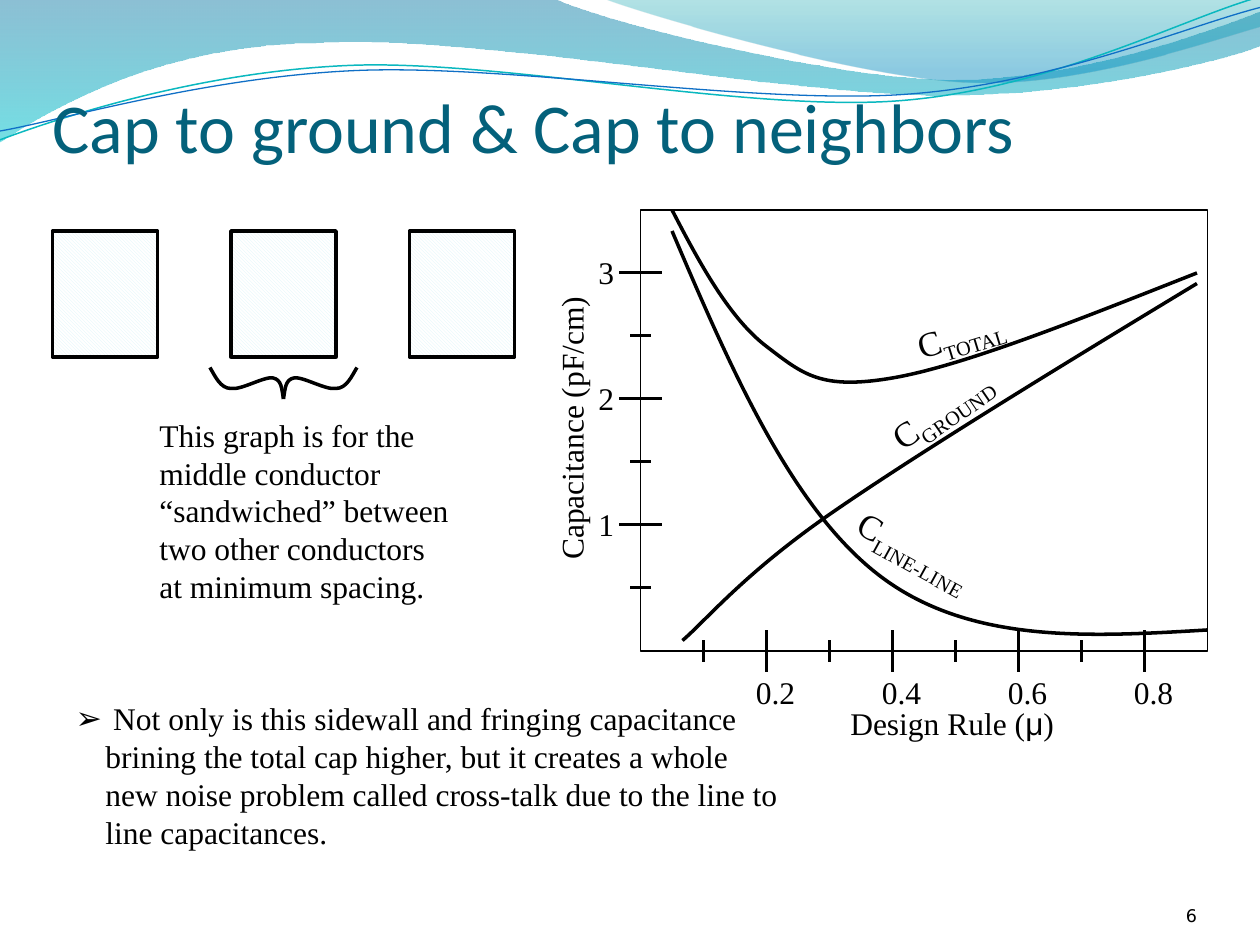
import math

from lxml import etree
from pptx import Presentation
from pptx.dml.color import RGBColor
from pptx.enum import dml, shapes, text
from pptx.oxml.ns import qn
from pptx.util import Pt

# Content
TITLE = "Cap to ground & Cap to neighbors"
CAPTION = ["This graph is for the", "middle conductor", "“sandwiched” between",
           "two other conductors", "at minimum spacing."]
BULLET = (" Not only is this sidewall and fringing capacitance brining the total cap "
          "higher, but it creates a whole new noise problem called cross-talk due to "
          "the line to line capacitances.")
PAGE_NUMBER = "6"
X_LABELS = ["0.2", "0.4", "0.6", "0.8"]
Y_LABELS = ["1", "2", "3"]
SERIF, BLACK = "Times New Roman", "000000"

# Paths in points: a start, then line ends (2 numbers) or Bezier segments (6 numbers)
WAVES = [
    ([(0, -0.7), (316.8, -0.7), (342.7, 12.2, 478.1, 45.4, 545.8, 45.4),
      (614.2, 45.4, 689.8, 18.7, 720, 6.5), (720.7, 25.9),
      (707.8, 31.7, 626.4, 54.7, 537.1, 54.3), (447.8, 54.3, 275, 20.2, 185, 24.5),
      (92.9, 25.2, 33.1, 59.8, -0.7, 81.4)],
     [(0, "0074A1", 45), (1, "00C6CF", 55)]),
    ([(344.9, -0.7), (366.5, 7.9, 491, 44.6, 553.7, 46.8),
      (616.3, 49.7, 691.9, 23, 720, 15.1), (720, 0)],
     [(0, "00A1A9", 30), (0.8, "008BBF", 45)]),
]
WAVE_ROTATION = 357.3
# Path as it appears, centre of rotation, colour, width
WAVE_LINES = [
    ([(0, 79.9), (34.6, 67, 113.8, 41, 199.4, 37.4), (284.4, 33.8, 427, 64.1, 513.4, 57.6),
      (599.8, 51.1, 675.4, 10.8, 718.6, -1.4)], (359.3, 41.4), "0AB8BF", 0.85),
    ([(0, 74.9), (33.8, 69.1, 118.1, 43.9, 203.8, 40.3),
      (290.2, 36.7, 429.8, 59.8, 516.2, 54), (601.9, 48.2, 677.5, 15.1, 720, 4.3)],
     (359.6, 42.5), "0F6FC6", 0.75),
]
CURVES = [
    [(684, 156), (618, 182, 551, 209, 510, 216), (469, 223, 459, 214, 438, 198),
     (417, 182, 400, 151, 384, 120)],
    [(684, 162), (603, 211, 523, 260, 474, 294), (425, 328, 403, 355, 390, 366)],
    [(690, 360), (623, 364, 555, 368, 504, 330), (453, 292, 418, 212, 384, 132)],
]
# Subscript, left, top, width, rotation
CURVE_LABELS = [("TOTAL", 516.2, 174.2, 70.6, 343), ("GROUND", 498.2, 216, 83.5, 325.5),
                ("LINE-LINE", 480.2, 300.2, 91.4, 28.9)]
HALF_BRACE = [(120, 210), (123, 215, 126, 222, 132, 222), (138, 223, 151, 215, 156, 216),
              (161, 217, 161, 222, 162, 228)]
BRACE_CENTER = 162
CONDUCTOR_LEFTS = [132, 30, 234]
PLOT = (366, 120, 324, 252)
TICK_STEP = 36

presentation = Presentation()
presentation.slide_width, presentation.slide_height = Pt(720), Pt(540)
slide = presentation.slides.add_slide(presentation.slide_layouts[1])


def color(hex_string):
    return RGBColor.from_string(hex_string)


def place(shape, left, top, width, height):
    shape.left, shape.top, shape.width, shape.height = map(Pt, (left, top, width, height))


def style_line(shape, line_color=BLACK, width=2):
    shape.line.color.rgb = color(line_color)
    shape.line.width = Pt(width)


def style_run(run, size=18, font=SERIF, hex_string=BLACK):
    run.font.size, run.font.name = Pt(size), font
    run.font.color.rgb = color(hex_string)


def transform(path, move):
    """Apply move(x, y) to every point of a path."""
    return [tuple(value for x, y in zip(segment[::2], segment[1::2]) for value in move(x, y))
            for segment in path]


def add_path(path, close=False):
    """Draw the control polygon, then join its lines three by three into Beziers."""
    start, *rest = [(Pt(x), Pt(y)) for segment in path
                    for x, y in zip(segment[::2], segment[1::2])]
    builder = slide.shapes.build_freeform(*start)
    builder.add_line_segments(rest, close=close)
    shape = builder.convert_to_shape()
    shape.shadow.inherit = False
    lines = iter(shape.element.xpath(".//a:lnTo"))
    for segment in path[1:]:
        first = next(lines)
        if len(segment) == 6:
            first.tag = qn("a:cubicBezTo")
            for _ in range(2):
                line = next(lines)
                first.append(line[0])
                line.getparent().remove(line)
    return shape


def add_curve(path, line_color=BLACK, width=2):
    shape = add_path(path)
    shape.fill.background()
    style_line(shape, line_color, width)
    return shape


def add_line(x1, y1, x2, y2):
    line = slide.shapes.add_connector(shapes.MSO_CONNECTOR.STRAIGHT, *map(Pt, (x1, y1, x2, y2)))
    style_line(line)
    etree.SubElement(line.element.spPr, qn("a:effectLst"))


def add_rectangle(left, top, width, height, line_width):
    shape = slide.shapes.add_shape(shapes.MSO_SHAPE.RECTANGLE,
                                   *map(Pt, (left, top, width, height)))
    shape.shadow.inherit = False
    style_line(shape, width=line_width)
    return shape


def add_text(lines, left, top, width, height=29, rotation=0):
    """Each line is a list of (text, size, font) runs."""
    box = slide.shapes.add_textbox(*map(Pt, (left, top, width, height)))
    box.rotation = rotation
    frame = box.text_frame
    frame.word_wrap = False
    frame.auto_size = text.MSO_AUTO_SIZE.SHAPE_TO_FIT_TEXT
    for index, runs in enumerate(lines):
        paragraph = frame.add_paragraph() if index else frame.paragraphs[0]
        for content, size, font in runs:
            run = paragraph.add_run()
            run.text = content
            style_run(run, size, font)
    return box


# Wave decoration
for path, stops in WAVES:
    wave = add_path(path, close=True)
    wave.line.fill.background()
    wave.fill.gradient()
    wave.fill.gradient_angle = 270
    for stop, (position, hex_string, _) in zip(wave.fill.gradient_stops, stops):
        stop.position = position
        stop.color.rgb = color(hex_string)
    for element, (_, _, opacity) in zip(wave.element.xpath(".//a:gs/a:srgbClr"), stops):
        etree.SubElement(element, qn("a:alpha")).set("val", str(opacity * 1000))
turn = math.radians(360 - WAVE_ROTATION)
cosine, sine = math.cos(turn), math.sin(turn)
for path, (cx, cy), line_color, width in WAVE_LINES:
    level = transform(path, lambda x, y: (cx + (x - cx) * cosine - (y - cy) * sine,
                                          cy + (x - cx) * sine + (y - cy) * cosine))
    add_curve(level, line_color, width).rotation = WAVE_ROTATION

# Title, brought in front of the waves
title = slide.shapes.title
slide.shapes.element.append(title.element)
place(title, 30, 6, 648, 90)
frame = title.text_frame
frame.text = TITLE
frame.vertical_anchor = text.MSO_ANCHOR.BOTTOM
frame.margin_left = frame.margin_right = frame.margin_bottom = 0
frame.margin_top = Pt(3.6)
frame.paragraphs[0].alignment = text.PP_ALIGN.LEFT
style_run(frame.paragraphs[0].runs[0], 40, "Calibri", "04617B")

# Page number
number = add_text([[(PAGE_NUMBER, 10, "DejaVu Sans")]], 624, 500.4, 60)
frame = number.text_frame
frame.word_wrap, frame.auto_size = True, text.MSO_AUTO_SIZE.NONE
frame.margin_left = frame.margin_right = frame.margin_top = frame.margin_bottom = 0
frame.vertical_anchor = text.MSO_ANCHOR.BOTTOM
frame.paragraphs[0].alignment = text.PP_ALIGN.RIGHT

# Plot frame, ticks and tick labels; every second tick is long and labelled
plot_left, plot_top, plot_width, plot_height = PLOT
plot_bottom = plot_top + plot_height
add_rectangle(*PLOT, 0.75).fill.background()
for index in range(2 * len(X_LABELS)):
    x, half = plot_left + TICK_STEP * (index + 1), 12 if index % 2 else -6
    add_line(x, plot_bottom + half, x, plot_bottom - half)
    if index % 2:
        add_text([[(X_LABELS[index // 2], 18, SERIF)]], x - 13.2, 381, 37.4)
for index in range(2 * len(Y_LABELS)):
    y, half = plot_bottom - 0.4 - TICK_STEP * (index + 1), 12 if index % 2 else -6
    add_line(plot_left + half, y, plot_left - half, y)
    if index % 2:
        add_text([[(Y_LABELS[index // 2], 18, SERIF)]], 334.8, y - 14.5, 23.7)

# Curves, their labels and the axis titles
for path in CURVES:
    add_curve(path)
for subscript, left, top, width, rotation in CURVE_LABELS:
    label = add_text([[("C", 20, SERIF), (subscript, 20, SERIF)]],
                     left, top, width, 31, rotation)
    label.element.xpath(".//a:rPr")[1].set("baseline", "-25000")
add_text([[("Design Rule (", 18, SERIF), ("μ", 18, "Arial"), (")", 18, SERIF)]], 478.8, 399, 131)
add_text([[("Capacitance (pF/cm)", 18, SERIF)]], 244, 230, 165, rotation=270)

# Conductors, brace and caption
for left in CONDUCTOR_LEFTS:
    fill = add_rectangle(left, 132, 60, 72, 2).fill
    fill.patterned()
    fill.pattern = dml.MSO_PATTERN.DARK_DOWNWARD_DIAGONAL
    fill.fore_color.rgb, fill.back_color.rgb = color("DBF5F9"), color("FFFFFF")
add_curve(HALF_BRACE)
add_curve(transform(HALF_BRACE, lambda x, y: (2 * BRACE_CENTER - x, y)))
add_text([[(line, 18, SERIF)] for line in CAPTION], 84, 234, 180, 115)

# Bulleted conclusion
body = slide.placeholders[1]
slide.shapes.element.append(body.element)
place(body, 36, 396, 420, 94)
body.text_frame.text = BULLET
body.text_frame.auto_size = text.MSO_AUTO_SIZE.NONE
paragraph = body.text_frame.paragraphs[0]
paragraph.space_before = Pt(0)
style_run(paragraph.runs[0])
properties = paragraph._p.get_or_add_pPr()
properties.set("marL", str(Pt(17)))
properties.set("indent", str(Pt(-17)))
etree.SubElement(properties, qn("a:buChar")).set("char", "➢")

presentation.save("out.pptx")
